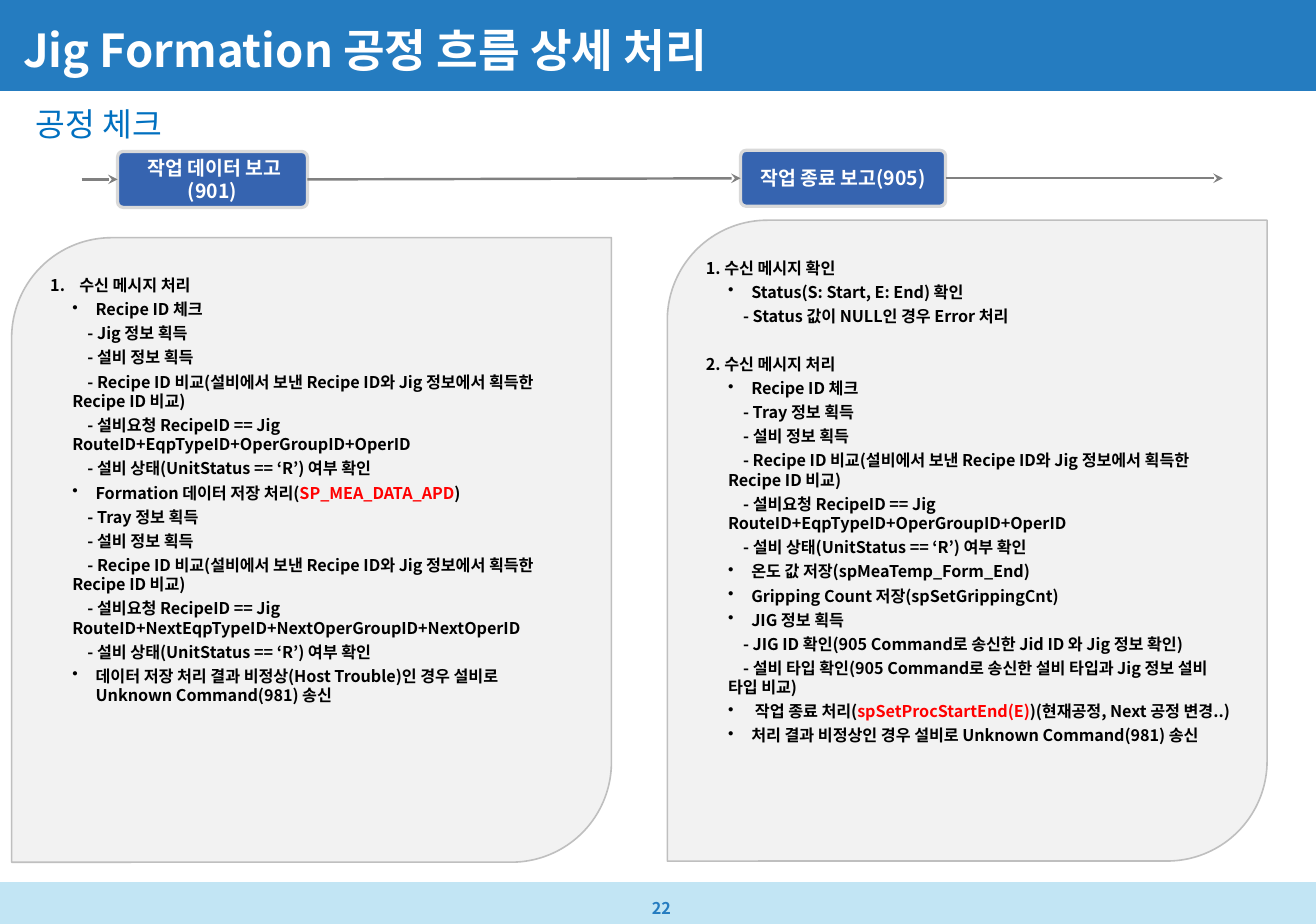
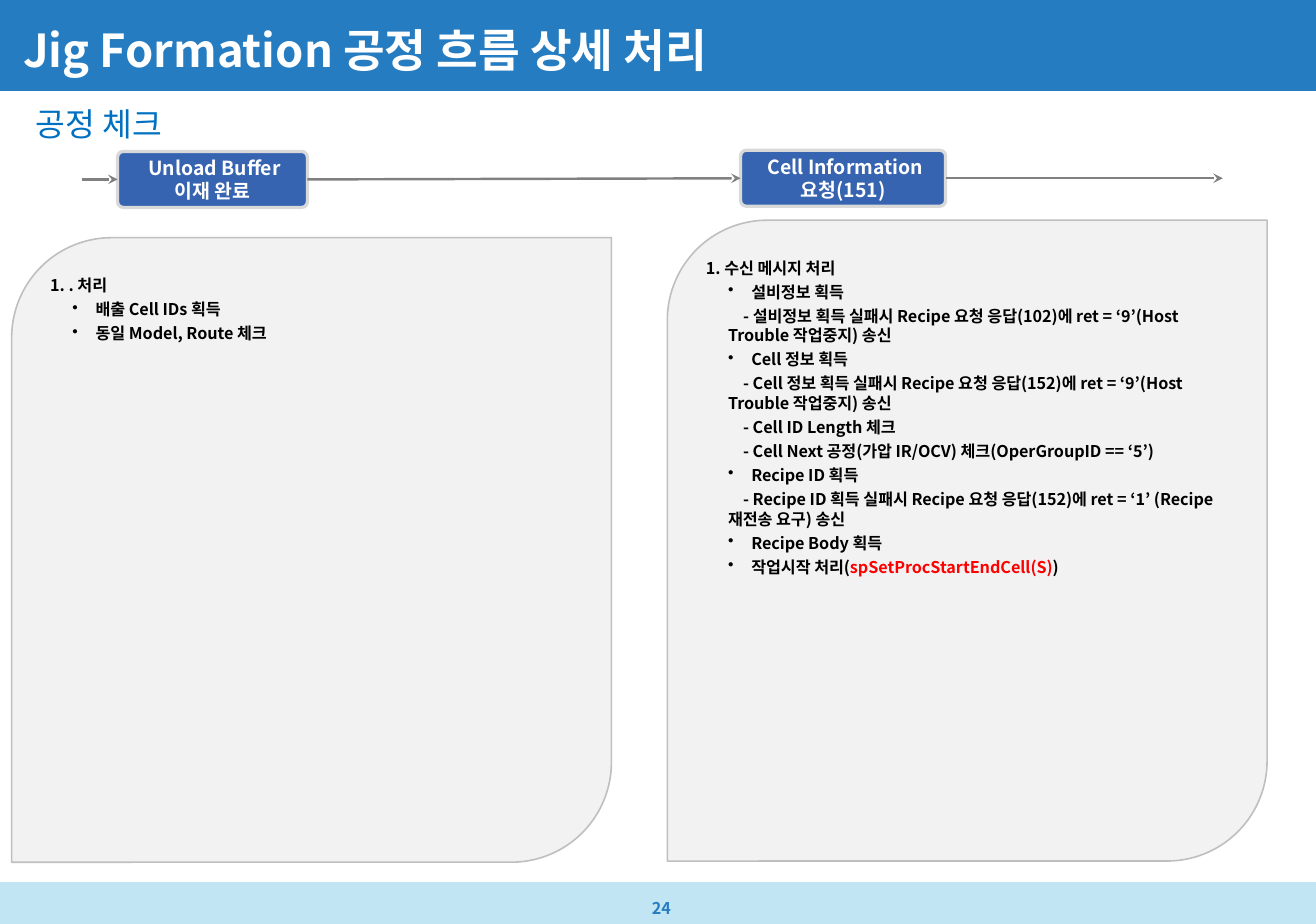
from lxml import etree
from pptx import Presentation, util as u
from pptx.dml.color import RGBColor
from pptx.enum import shapes as sh, text as tx
from pptx.oxml.ns import qn

FONT = "Noto Sans CJK KR"
BLUE, PALE, STEP_BLUE, SUBTITLE_BLUE = "257CC0", "C2E5F4", "3664B0", "0070C0"
WHITE, BLACK, RED = "FFFFFF", "000000", "FF0000"
PANEL_GREY, PANEL_EDGE, STEP_EDGE, ARROW_GREY = "F2F2F2", "BFBFBF", "D9D9D9", "808080"
MIDDLE, CENTER = tx.MSO_ANCHOR.MIDDLE, tx.PP_ALIGN.CENTER

prs = Presentation()
prs.slide_width, prs.slide_height = u.Inches(11.3), u.Inches(7.93)
COLUMN, ROW = prs.slide_width / 113, prs.slide_height / 79.3


def color(hex_string):
    return RGBColor.from_string(hex_string)


def add_block(slide, cells, preset=None, fill=None, edge=None, insets=(0, 0, 0, 0),
              anchor=tx.MSO_ANCHOR.TOP, words="", size=10, ink=WHITE, bold=True,
              paragraph_format=None):
    """Place a shape, or a text box without a preset, on (left, top, width, height) grid cells."""
    left, top, width, height = (int(n * unit) for n, unit in zip(cells, (COLUMN, ROW) * 2))
    if preset is None:
        block = slide.shapes.add_textbox(left, top, width, height)
    else:
        block = slide.shapes.add_shape(preset, left, top, width, height)
        block.shadow.inherit = False
        block.fill.solid()
        block.fill.fore_color.rgb = color(fill)
        if edge:
            block.line.color.rgb, block.line.width = color(edge[0]), u.Pt(edge[1])
        else:
            block.line.fill.background()
    frame = block.text_frame
    frame.word_wrap, frame.vertical_anchor = True, anchor
    for side, inset in zip(("left", "top", "right", "bottom"), insets):
        setattr(frame, f"margin_{side}", u.Inches(inset))
    if words:
        paragraph = frame.paragraphs[0]
        for name, value in (paragraph_format or {}).items():
            setattr(paragraph, name, value)
        run = paragraph.add_run()
        run.text = words
        run.font.size, run.font.bold, run.font.color.rgb = u.Pt(size), bold, color(ink)
    return block


# Line marks: "#" automatic number, "*" bullet, "-" detail, "|" around red words
RECIPE_CHECKS = """* Recipe ID 체크
""", """- {subject} 정보 획득
- 설비 정보 획득
- Recipe ID 비교(설비에서 보낸 Recipe ID와 Jig 정보에서 획득한 Recipe ID 비교)
- 설비요청 RecipeID == Jig {next}RouteID+{step}EqpTypeID+{step}OperGroupID+{step}OperID
- 설비 상태(UnitStatus == ‘R’) 여부 확인
"""
RECIPE_HEAD, DETAILS = RECIPE_CHECKS
tray_details = DETAILS.format(subject="Tray", next="", step="")

pages = [
    (22, (" 작업 데이터 보고(901)", "작업 종료 보고(905)"), (
        "# 수신 메시지 처리\n" + RECIPE_HEAD
        + DETAILS.format(subject="Jig", next="", step="")
        + "* Formation 데이터 저장 처리(|SP_MEA_DATA_APD|)\n"
        + DETAILS.format(subject="Tray", next="", step="Next")
        + "* 데이터 저장 처리 결과 비정상(Host Trouble)인 경우 설비로 Unknown Command(981) 송신",
        """1. 수신 메시지 확인
* Status(S: Start, E: End) 확인
- Status 값이 NULL인 경우 Error 처리
2. 수신 메시지 처리
""" + RECIPE_HEAD + tray_details + """* 온도 값 저장(spMeaTemp_Form_End)
* Gripping Count 저장(spSetGrippingCnt)
* JIG 정보 획득
- JIG ID 확인(905 Command로 송신한 Jid ID 와 Jig 정보 확인)
- 설비 타입 확인(905 Command로 송신한 설비 타입과 Jig 정보 설비 타입 비교)
*  작업 종료 처리(|spSetProcStartEnd(E)|)(현재공정, Next 공정 변경..)
* 처리 결과 비정상인 경우 설비로 Unknown Command(981) 송신""")),
    (24, (" Unload Buffer 이재 완료", " Cell Information 요청(151)"), (
        """1. . 처리
* 배출 Cell IDs 획득
* 동일 Model, Route 체크""",
        """1. 수신 메시지 처리
* 설비정보 획득
- 설비정보 획득 실패시 Recipe 요청 응답(102)에 ret = ‘9’(Host Trouble 작업중지) 송신
* Cell 정보 획득
- Cell 정보 획득 실패시 Recipe 요청 응답(152)에 ret = ‘9’(Host Trouble 작업중지) 송신
- Cell ID Length 체크
- Cell Next 공정(가압 IR/OCV) 체크(OperGroupID == ‘5’)
* Recipe ID 획득
- Recipe ID 획득 실패시 Recipe 요청 응답(152)에 ret = ‘1’ (Recipe 재전송 요구) 송신
* Recipe Body 획득
* 작업시작 처리(|spSetProcStartEndCell(S)|)""")),
]

# Left margin and first-line indent in inches, bullet element and its attributes
LINE_STYLES = {
    "#": (0.25, -0.25, "a:buAutoNum", {"type": "arabicPeriod"}),
    "*": (0.39, -0.2, "a:buChar", {"char": "•"}),
    "-": (0.19, 0.13, "a:buNone", {}),
}
HEADING_STYLE = (0, 0, "a:buNone", {})
PANEL_CELLS = ((1, 20.4, 51.5, 53.6), (57.3, 18.9, 51.5, 55))
STEP_CELLS = ((10.1, 13, 16.3, 4.8), (63.6, 12.9, 17.6, 4.8))
FLOW_START, FLOW_END = int(7 * COLUMN), int(105 * COLUMN)

for page_number, step_names, panel_texts in pages:
    slide = prs.slides.add_slide(prs.slide_layouts[6])
    for cells, fill in (((0, 0, 113, 7.8), BLUE), ((0, 75.7, 113, 3.6), PALE)):
        add_block(slide, cells, sh.MSO_SHAPE.RECTANGLE, fill)
    add_block(slide, (51.2, 76.5, 11.2, 2.8), anchor=MIDDLE, words=str(page_number),
              ink=BLUE, paragraph_format={"alignment": CENTER})
    add_block(slide, (1, 2.3, 97.4, 4.3), insets=(0.1, 0.05, 0.1, 0),
              anchor=tx.MSO_ANCHOR.BOTTOM, words="Jig Formation 공정 흐름 상세 처리",
              size=28, paragraph_format={"line_spacing": 0.9})
    add_block(slide, (2.1, 8.4, 108.7, 4.8), insets=(0.1, 0.05, 0.1, 0.05), anchor=MIDDLE,
              words="공정 체크", size=20, ink=SUBTITLE_BLUE, bold=False,
              paragraph_format={"line_spacing": 0.9})

    for cells, panel_text in zip(PANEL_CELLS, panel_texts):
        panel = add_block(slide, cells, sh.MSO_SHAPE.ROUND_2_DIAG_RECTANGLE, PANEL_GREY,
                          (PANEL_EDGE, 1), (0.08, 0.04, 0.04, 0.04))
        frame = panel.text_frame
        for index, line in enumerate(panel_text.splitlines()):
            paragraph = frame.add_paragraph() if index else frame.paragraphs[0]
            mark = line[0]
            margin, indent, bullet, attributes = LINE_STYLES.get(mark, HEADING_STYLE)
            properties = paragraph._p.get_or_add_pPr()
            properties.set("marL", str(u.Inches(margin)))
            properties.set("indent", str(u.Inches(indent)))
            etree.SubElement(properties, qn(bullet), attributes)
            paragraph.alignment = tx.PP_ALIGN.LEFT
            paragraph.line_spacing = u.Pt(12 if index else 14.4)
            if index:
                paragraph.space_before = u.Pt(17.8 if mark.isdigit() else 2.9)
            words = line[2:] if mark in "#*" else line
            for part, phrase in enumerate(words.split("|")):
                run = paragraph.add_run()
                run.text = phrase
                run.font.size, run.font.bold = u.Pt(10), True
                run.font.color.rgb = color(RED if part % 2 else BLACK)

    steps = []
    for cells, step_name in zip(STEP_CELLS, step_names):
        step = add_block(slide, cells, sh.MSO_SHAPE.ROUNDED_RECTANGLE, STEP_BLUE,
                         (STEP_EDGE, 2), (0.08, 0.04, 0.08, 0.04), MIDDLE, step_name, 12,
                         paragraph_format={"alignment": CENTER, "line_spacing": u.Pt(14.2)})
        step.adjustments[0] = 0.1
        steps.append(step)

    for source, target in zip([None] + steps, steps + [None]):
        near = source or target
        level = near.top + near.height // 2
        arrow = slide.shapes.add_connector(sh.MSO_CONNECTOR.STRAIGHT,
                                           FLOW_START, level, FLOW_END, level)
        if source:
            arrow.begin_connect(source, 3)
        if target:
            arrow.end_connect(target, 1)
        arrow.line.color.rgb, arrow.line.width = color(ARROW_GREY), u.Pt(1.5)
        etree.SubElement(arrow.line._get_or_add_ln(), qn("a:tailEnd"), type="stealth")
        etree.SubElement(arrow._element.spPr, qn("a:effectLst"))

    for run_properties in slide._element.iter(qn("a:rPr")):
        for script in ("a:latin", "a:ea"):
            etree.SubElement(run_properties, qn(script), typeface=FONT)

prs.save("out.pptx")
